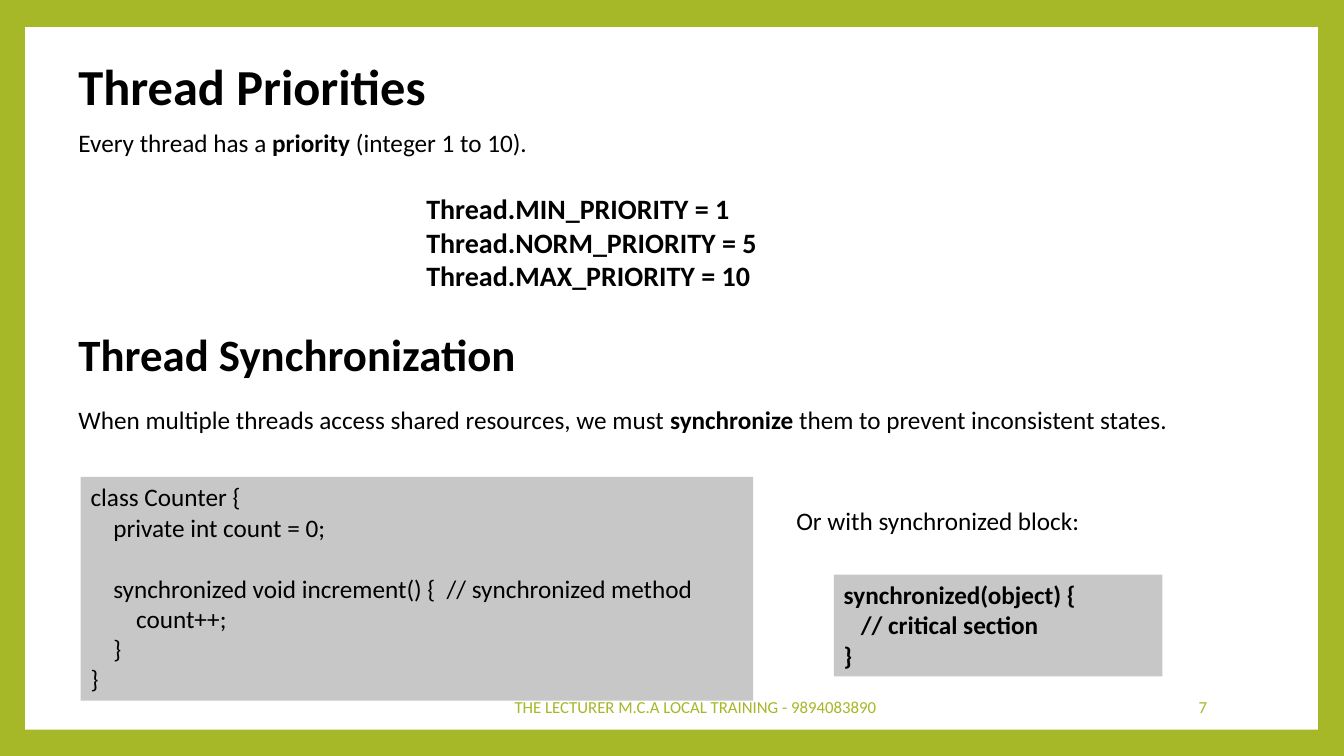
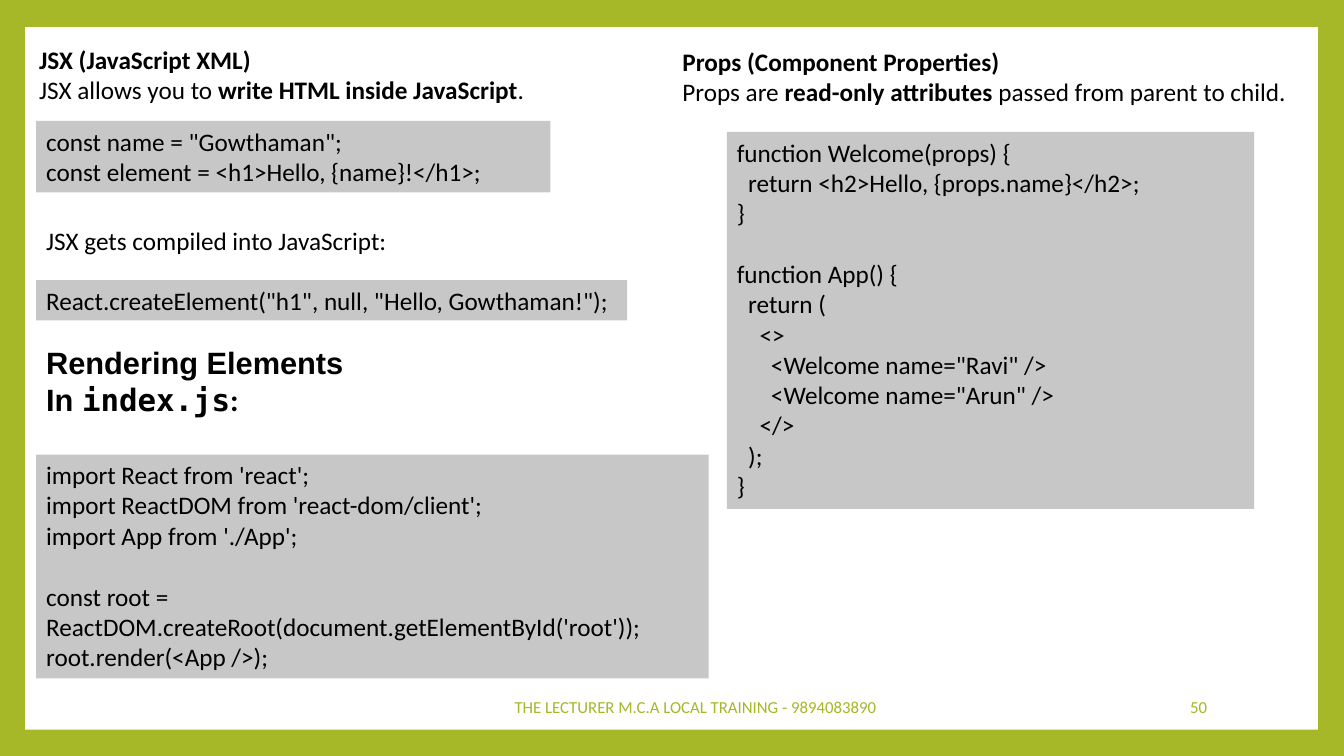
"""Builds two lecture slides on threads and on JSX with props."""
import dataclasses

import pptx
import pptx.dml.color
import pptx.enum.shapes
import pptx.enum.text
import pptx.util

Inches = pptx.util.Inches
Pt = pptx.util.Pt
ALIGN = pptx.enum.text.PP_ALIGN
ANCHOR = pptx.enum.text.MSO_ANCHOR


@dataclasses.dataclass(frozen=True)
class Theme:
    """Colours, fonts and type sizes shared by the slides."""

    green: str = "A6B727"
    white: str = "FFFFFF"
    grey: str = "C7C7C7"
    ink: str = "000000"
    font: str = "Calibri"
    heading_font: str = "Arial"
    mono_font: str = "DejaVu Sans Mono"
    title: int = 36
    subtitle: int = 32
    section: int = 22
    constants: int = 20
    body: int = 18
    footer: int = 12
    space_width: float = 0.226
    line_height: float = 1.22


THEME = Theme()
FOOTER = "THE LECTURER M.C.A LOCAL TRAINING - 9894083890"

COUNTER_CODE = """class Counter {
    private int count = 0;

    synchronized void increment() {  // synchronized method
        count++;
    }
}"""

BLOCK_CODE = """synchronized(object) {
   // critical section
}"""

ELEMENT_CODE = """const name = "Gowthaman";
const element = <h1>Hello, {name}!</h1>;"""

COMPILED_CODE = 'React.createElement("h1", null, "Hello, Gowthaman!");'

INDEX_CODE = """import React from 'react';
import ReactDOM from 'react-dom/client';
import App from './App';

const root = ReactDOM.createRoot(document.getElementById('root'));
root.render(<App />);"""

PROPS_CODE = """function Welcome(props) {
  return <h2>Hello, {props.name}</h2>;
}

function App() {
  return (
    <>
      <Welcome name="Ravi" />
      <Welcome name="Arun" />
    </>
  );
}"""


def rgb(value):
    """Return a colour object for a hex value."""
    return pptx.dml.color.RGBColor.from_string(value)


def add_run(paragraph, text, color=THEME.ink, **formats):
    """Append a run with the theme font unless overridden."""
    run = paragraph.add_run()
    run.text = text
    run.font.color.rgb = rgb(color)
    for attribute, value in {"name": THEME.font, "bold": False, **formats}.items():
        setattr(run.font, attribute, value)


def add_panel(slide, box, color):
    """Add a plain filled rectangle."""
    panel = slide.shapes.add_shape(
        pptx.enum.shapes.MSO_SHAPE.RECTANGLE, *map(Inches, box))
    panel.shadow.inherit = False
    panel.fill.solid()
    panel.fill.fore_color.rgb = rgb(color)
    panel.line.fill.background()
    return panel


def prepare_frame(shape, anchor=ANCHOR.TOP):
    """Make the shape's text wrap and return its frame."""
    frame = shape.text_frame
    for attribute, value in {"word_wrap": True, "vertical_anchor": anchor}.items():
        setattr(frame, attribute, value)
    return frame


def add_paragraphs(frame, count):
    """Yield the first paragraph of the frame and then new ones."""
    for index in range(count):
        yield frame.add_paragraph() if index else frame.paragraphs[0]


def add_text(slide, box, lines, align=ALIGN.LEFT, anchor=ANCHOR.TOP, **formats):
    """Add a text box whose lines are lists of (text, formats) runs."""
    frame = prepare_frame(slide.shapes.add_textbox(*map(Inches, box)), anchor)
    for paragraph, runs in zip(add_paragraphs(frame, len(lines)), lines):
        paragraph.alignment = align
        for text, overrides in runs:
            add_run(paragraph, text, **{**formats, **overrides})


def add_heading(slide, box, text, size):
    """Add a bold heading of one or more lines."""
    lines = [[(line, {})] for line in text.splitlines()]
    add_text(slide, box, lines, size=Pt(size), bold=True)


def add_prose(slide, box, text):
    """Add body text in which double asterisks enclose bold words."""
    lines = [
        [(part, {"bold": index % 2 == 1})
         for index, part in enumerate(line.split("**")) if part]
        for line in text.splitlines()
    ]
    add_text(slide, box, lines, size=Pt(THEME.body))


def add_code(slide, box, code, bold=False):
    """Add a grey code panel with indents and gaps taken from the code."""
    frame = prepare_frame(add_panel(slide, box, THEME.grey))
    source = code.splitlines()
    lines = [(line, index > 0 and not source[index - 1])
             for index, line in enumerate(source) if line]
    for paragraph, (line, after_gap) in zip(add_paragraphs(frame, len(lines)), lines):
        text = line.lstrip()
        depth = len(line) - len(text)
        paragraph.alignment = ALIGN.LEFT
        if depth:
            indent = Pt(depth * THEME.space_width * THEME.body)
            paragraph._p.get_or_add_pPr().set("marL", str(indent))
        if after_gap:
            paragraph.space_before = Pt(THEME.line_height * THEME.body)
        add_run(paragraph, text, size=Pt(THEME.body), bold=bold)


def add_footer(slide, number):
    """Add the lecturer line and the page number."""
    for left, width, text, align in (
        (4.32, 5.16, FOOTER, ALIGN.CENTER),
        (10.2, 1.87, str(number), ALIGN.RIGHT),
    ):
        add_text(slide, (left, 6.81, width, 0.4), [[(text, {})]], align,
                 ANCHOR.MIDDLE, size=Pt(THEME.footer), color=THEME.green)


def add_framed_slide(presentation):
    """Add a blank slide with the white page inside the green frame."""
    slide = presentation.slides.add_slide(presentation.slide_layouts[6])
    add_panel(slide, (0.25, 0.27, 12.82, 6.97), THEME.white)
    return slide


def build_threads(presentation):
    """Build the slide on thread priorities and synchronization."""
    slide = add_framed_slide(presentation)
    left = 0.68
    add_heading(slide, (left, 0.5, 3.83, 0.71), "Thread Priorities", THEME.title)
    add_prose(slide, (left, 1.21, 4.73, 0.4),
              "Every thread has a **priority** (integer 1 to 10).")
    add_heading(slide, (4.13, 1.85, 4.14, 1.11),
                "Thread.MIN_PRIORITY = 1\n"
                "Thread.NORM_PRIORITY = 5\n"
                "Thread.MAX_PRIORITY = 10", THEME.constants)
    add_heading(slide, (left, 3.19, 4.84, 0.64),
                "Thread Synchronization", THEME.subtitle)
    add_prose(slide, (left, 3.96, 11.81, 0.4),
              "When multiple threads access shared resources, we must "
              "**synchronize** them to prevent inconsistent states.")
    add_code(slide, (0.8, 4.73, 6.67, 2.22), COUNTER_CODE)
    add_code(slide, (8.27, 5.7, 3.26, 1.01), BLOCK_CODE, bold=True)
    add_prose(slide, (7.8, 4.96, 3.1, 0.4), "Or with synchronized block:")
    add_footer(slide, 7)


def build_jsx(presentation):
    """Build the slide on JSX, rendering and props."""
    slide = add_framed_slide(presentation)
    left = 0.36
    add_prose(slide, (0.29, 0.39, 6.67, 0.71),
              "**JSX (JavaScript XML)**\n"
              "JSX allows you to **write HTML inside JavaScript**.")
    add_code(slide, (left, 1.2, 5.1, 0.71), ELEMENT_CODE)
    add_prose(slide, (left, 2.19, 3.75, 0.4), "JSX gets compiled into JavaScript:")
    add_code(slide, (left, 2.78, 5.86, 0.4), COMPILED_CODE)
    rendering = [
        [("Rendering Elements", {})],
        [("In ", {}), ("index.js", {"name": THEME.mono_font}),
         (":", {"name": THEME.font})],
    ]
    add_text(slide, (left, 3.36, 3.4, 0.84), rendering, anchor=ANCHOR.MIDDLE,
             name=THEME.heading_font, size=Pt(THEME.section), bold=True)
    add_code(slide, (left, 4.51, 6.67, 2.22), INDEX_CODE)
    add_prose(slide, (6.67, 0.41, 6.67, 0.71),
              "**Props (Component Properties)**\n"
              "Props are **read-only attributes** passed from parent to child.")
    add_code(slide, (7.21, 1.31, 5.23, 3.74), PROPS_CODE)
    add_footer(slide, 50)


def main():
    """Build and save the presentation."""
    presentation = pptx.Presentation()
    presentation.slide_width = Inches(13.33)
    presentation.slide_height = Inches(7.5)
    backdrop = presentation.slide_master.background.fill
    backdrop.solid()
    backdrop.fore_color.rgb = rgb(THEME.green)
    build_threads(presentation)
    build_jsx(presentation)
    presentation.save("out.pptx")


if __name__ == "__main__":
    main()
